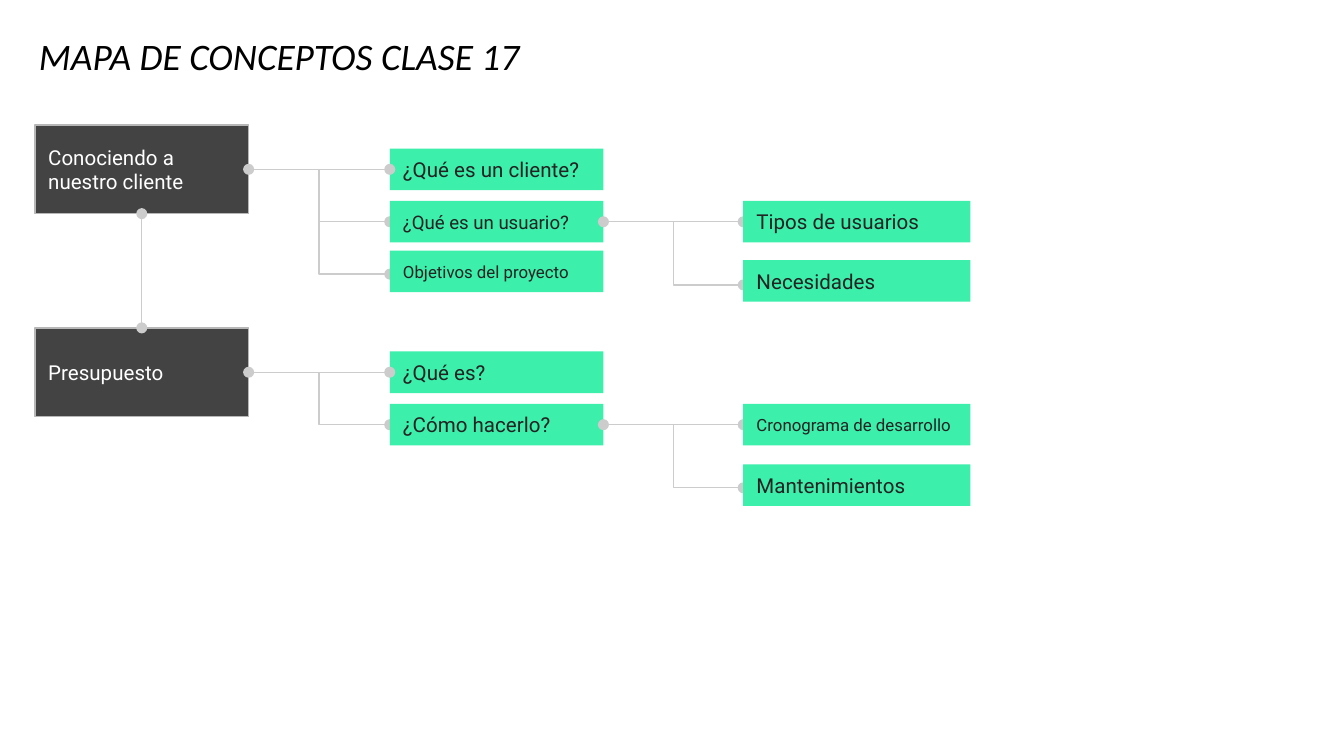
from lxml import etree
from pptx import Presentation
from pptx.dml.color import RGBColor as RGB
from pptx.enum.shapes import MSO_CONNECTOR as LINK, MSO_SHAPE as SHAPE
from pptx.enum.text import MSO_ANCHOR as ANCHOR, MSO_AUTO_SIZE as FIT, PP_ALIGN as ALIGN
from pptx.oxml.ns import qn
from pptx.util import Inches, Pt

COLORS = {"dark": "434343", "edge": "B7B7B7", "green": "3CEFAB",
          "link": "CCCCCC", "white": "FFFFFF", "ink": "222222", "black": "000000"}

deck = Presentation()
deck.slide_width, deck.slide_height = Inches(10), Inches(10 * 9 / 16)
slide = deck.slides.add_slide(deck.slide_layouts[0])
shapes = slide.shapes


def add_box(text, size, left, mid, wide, high, fill, ink):
    box = shapes.add_shape(SHAPE.RECTANGLE, Inches(left), Inches(mid - high / 2),
                           Inches(wide), Inches(high))
    box.shadow.inherit = False
    box.fill.solid()
    box.fill.fore_color.rgb = RGB.from_string(COLORS[fill])
    box.line.fill.background()
    frame = box.text_frame
    frame.word_wrap = True
    frame.vertical_anchor = ANCHOR.MIDDLE
    frame.margin_left = frame.margin_right = Inches(0.1)
    frame.margin_top = frame.margin_bottom = Inches(0.1)
    par = frame.paragraphs[0]
    par.text = text
    par.alignment = ALIGN.LEFT
    par.font.name, par.font.size = "Roboto", Pt(size)
    par.font.color.rgb = RGB.from_string(COLORS[ink])
    return box


def add_link(kind, start, end, tips):
    link = shapes.add_connector(kind, *[Inches(n) for n in start + end])
    link.line.color.rgb = RGB.from_string(COLORS["link"])
    link.line.width = Pt(0.75)
    line = link._element.spPr.find(qn("a:ln"))
    for tip in tips:
        etree.SubElement(line, qn(f"a:{tip}"), type="oval")
    etree.SubElement(link._element.spPr, qn("a:effectLst"))
    return link


# Title
title = shapes.title
title.left, title.top = Inches(0.19), Inches(0.22)
title.width, title.height = Inches(8.26), Inches(0.46)
frame = title.text_frame
frame.auto_size = FIT.NONE
frame.vertical_anchor = ANCHOR.BOTTOM
frame.margin_left = frame.margin_right = Inches(0.1)
frame.margin_top = frame.margin_bottom = Inches(0.1)
par = frame.paragraphs[0]
par.text = "MAPA DE CONCEPTOS CLASE 17"
par.alignment = ALIGN.LEFT
par.font.name, par.font.size, par.font.italic = "Calibri", Pt(20), True
par.font.color.rgb = RGB.from_string(COLORS["black"])
sub = slide.placeholders[1]._element
sub.getparent().remove(sub)

# Main topics, joined top to bottom
boxes = {}
for text, mid in [("Conociendo a nuestro cliente", 1.26), ("Presupuesto", 2.77)]:
    box = add_box(text, 11, 0.26, mid, 1.59, 0.66, "dark", "white")
    box.line.color.rgb = RGB.from_string(COLORS["edge"])
    box.line.width = Pt(0.75)
    boxes[text] = box
first, last = boxes.values()
link = add_link(LINK.STRAIGHT, (1.06, 1.59), (1.06, 2.44), ["headEnd", "tailEnd"])
link.begin_connect(first, 2)
link.end_connect(last, 0)

# Branches: parent, text, size, column, middle of the box, link start, link end
COLS = [(1.85, 2.9, 1.59), (4.49, 5.53, 1.69)]  # link start, box left, box width
BRANCHES = [
    ("Conociendo a nuestro cliente", "¿Qué es un cliente?", 11, 0, 1.26, 1.26, 1.26),
    ("Conociendo a nuestro cliente", "¿Qué es un usuario?", 10, 0, 1.65, 1.26, 1.65),
    ("Conociendo a nuestro cliente", "Objetivos del proyecto", 9, 0, 2.02, 1.26, 2.04),
    ("¿Qué es un usuario?", "Tipos de usuarios", 11, 1, 1.65, 1.65, 1.65),
    ("¿Qué es un usuario?", "Necesidades", 11, 1, 2.09, 1.65, 2.12),
    ("Presupuesto", "¿Qué es?", 11, 0, 2.77, 2.77, 2.77),
    ("Presupuesto", "¿Cómo hacerlo?", 11, 0, 3.16, 2.77, 3.16),
    ("¿Cómo hacerlo?", "Cronograma de desarrollo", 9, 1, 3.16, 3.16, 3.16),
    ("¿Cómo hacerlo?", "Mantenimientos", 11, 1, 3.61, 3.16, 3.63),
]
for root, text, size, col, mid, start, end in BRANCHES:
    out, left, wide = COLS[col]
    flat = start == end
    kind = LINK.STRAIGHT if flat else LINK.ELBOW
    tips = ["headEnd", "tailEnd"] if flat else ["tailEnd"]
    link = add_link(kind, (out, start), (left, end), tips)
    box = add_box(text, size, left, mid, wide, 0.31, "green", "ink")
    boxes[text] = box
    if flat:
        link.begin_connect(boxes[root], 3)
        link.end_connect(box, 1)
    if flat and col == 0:  # the end dot shows in front of the box
        box._element.addnext(link._element)

deck.save("out.pptx")
